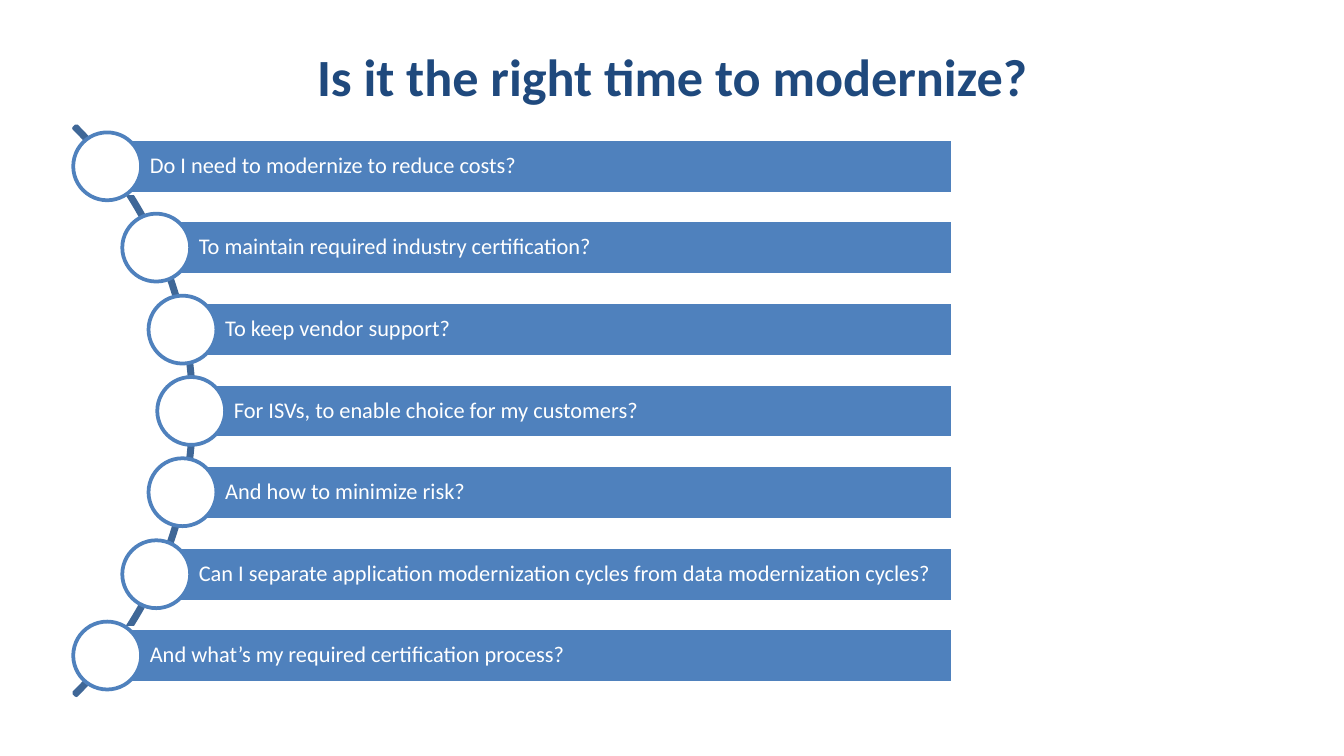
"""Build a slide of modernization questions strung along an arc."""
from dataclasses import dataclass
from math import sqrt

from pptx import Presentation
from pptx.dml.color import RGBColor
from pptx.enum.shapes import MSO_SHAPE
from pptx.enum.text import MSO_ANCHOR, PP_ALIGN
from pptx.util import Pt

RECT, OVAL, ARC = MSO_SHAPE.RECTANGLE, MSO_SHAPE.OVAL, MSO_SHAPE.BLOCK_ARC
MIDDLE = MSO_ANCHOR.MIDDLE
LEFT, CENTER = PP_ALIGN.LEFT, PP_ALIGN.CENTER

PX = 4572
FONT = "Calibri"
WHITE, BLUE, DARK, NAVY = "FFFFFF", "4F81BD", "3F6797", "1F497D"
MID_X, MID_Y, RADIUS, SPAN = -308, 611, 592, 364
RIGHT, BAR, DOT = 1418, 81, 101
ASKS = [
    "Do I need to modernize to reduce costs?",
    "To maintain required industry certification?",
    "To keep vendor support?",
    "For ISVs, to enable choice for my customers?",
    "And how to minimize risk?",
    "Can I separate application modernization cycles from data modernization cycles?",
    "And what’s my required certification process?",
]


@dataclass
class Box:
    """Hold a place and size in px."""
    left: int
    top: int
    width: int
    height: int

    def emu(self) -> list[int]:
        """Give the four lengths in EMU."""
        return [n * PX for n in (self.left, self.top, self.width, self.height)]


@dataclass
class Ask:
    """Hold one question and the centre of its dot."""
    text: str
    x: int
    y: int


def color(code: str) -> RGBColor:
    """Turn a hex string into a colour."""
    return RGBColor.from_string(code)


def add_shape(slide, kind, box: Box, fill: str | None, line: str):
    """Add a flat shape with a 2 pt outline."""
    shape = slide.shapes.add_shape(kind, *box.emu())
    shape.shadow.inherit = False
    if fill:
        shape.fill.solid()
        shape.fill.fore_color.rgb = color(fill)
    else:
        shape.fill.background()
    shape.line.color.rgb = color(line)
    shape.line.width = Pt(2)
    return shape


def write(frame, text: str, size: int, code: str, align, bold: bool = False):
    """Write one line of text into a frame and return its paragraph."""
    frame.word_wrap = True
    frame.vertical_anchor = MIDDLE
    para = frame.paragraphs[0]
    para.alignment = align
    run = para.add_run()
    run.text = text
    run.font.name, run.font.size, run.font.bold = FONT, Pt(size), bold
    run.font.color.rgb = color(code)
    return para


def add_title(slide, text: str) -> None:
    """Place and fill the title."""
    title = slide.shapes.title
    title.left, title.top, title.width, title.height = Box(100, 50, 1800, 124).emu()
    write(title.text_frame, text, 28, NAVY, CENTER, True)


def add_arc(slide) -> None:
    """Draw the arc that links the dots."""
    arc = add_shape(slide, ARC, Box(-909, 12, 1198, 1198), None, DARK)
    for i, value in enumerate((189, 27, 0.004)):
        arc.adjustments[i] = value


def add_ask(slide, ask: Ask) -> None:
    """Draw one bar with its question and dot."""
    box = Box(ask.x, ask.y - BAR // 2, RIGHT - ask.x, BAR)
    frame = add_shape(slide, RECT, box, BLUE, WHITE).text_frame
    frame.margin_left = 64 * PX
    frame.margin_top = frame.margin_right = frame.margin_bottom = 6 * PX
    write(frame, ask.text, 12, WHITE, LEFT).line_spacing = 0.9
    half = DOT // 2
    add_shape(slide, OVAL, Box(ask.x - half, ask.y - half, DOT, DOT), WHITE, BLUE)


def place(texts: list[str]) -> list[Ask]:
    """Spread the questions evenly in height along the circle."""
    asks = []
    for i, text in enumerate(texts):
        rise = SPAN * (2 * i / (len(texts) - 1) - 1)
        x = round(MID_X + sqrt(RADIUS ** 2 - rise ** 2))
        asks.append(Ask(text, x, round(MID_Y + rise)))
    return asks


def main() -> None:
    """Build and save the slide."""
    deck = Presentation()
    deck.slide_width, deck.slide_height = 2000 * PX, 1125 * PX
    slide = deck.slides.add_slide(deck.slide_layouts[5])
    add_title(slide, "Is it the right time to modernize?")
    add_arc(slide)
    for ask in place(ASKS):
        add_ask(slide, ask)
    deck.save("out.pptx")


if __name__ == "__main__":
    main()
